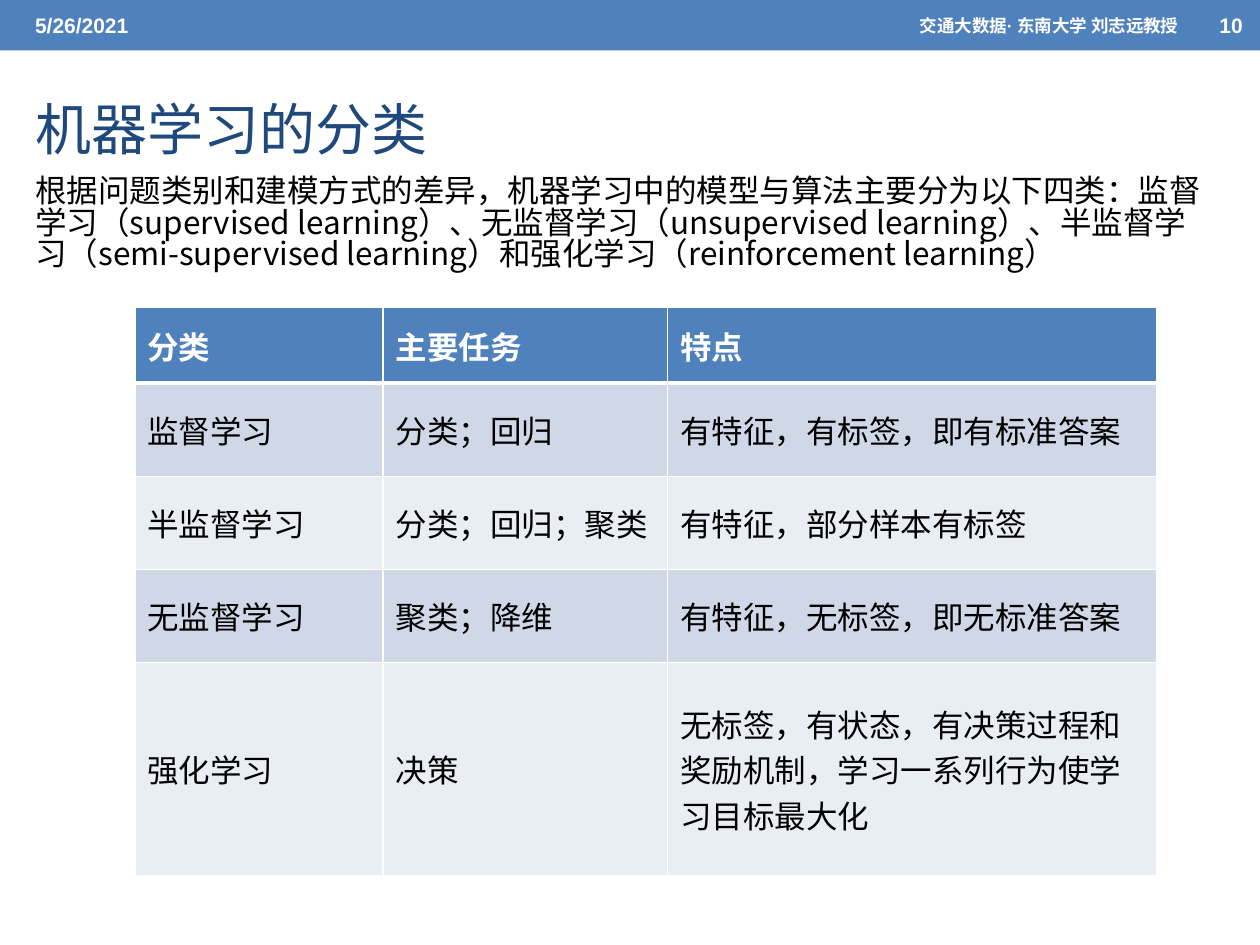
from dataclasses import dataclass

from lxml import etree
from pptx import Presentation
from pptx.dml.color import RGBColor
from pptx.enum.shapes import MSO_SHAPE
from pptx.enum.text import MSO_ANCHOR, MSO_AUTO_SIZE, PP_ALIGN
from pptx.oxml.ns import qn
from pptx.util import Inches, Pt

RECTANGLE = MSO_SHAPE.RECTANGLE
MIDDLE, TOP = MSO_ANCHOR.MIDDLE, MSO_ANCHOR.TOP
LEFT, RIGHT = PP_ALIGN.LEFT, PP_ALIGN.RIGHT
NO_AUTOFIT = MSO_AUTO_SIZE.NONE

BLUE = RGBColor(0x4F, 0x81, 0xBD)
NAVY = RGBColor(0x1F, 0x49, 0x7D)
DARK_BAND = RGBColor(0xD0, 0xD8, 0xE8)
LIGHT_BAND = RGBColor(0xE9, 0xED, 0xF4)
WHITE = RGBColor(0xFF, 0xFF, 0xFF)
BLACK = RGBColor(0x00, 0x00, 0x00)

LATIN_FONT = "Arial"
CHINESE_FONT = "Noto Sans CJK SC"

TITLE = "机器学习的分类"
INTRODUCTION = (
    "根据问题类别和建模方式的差异，机器学习中的模型与算法主要分为以下四类：监督 学习"
    "（supervised learning）、无监督学习（unsupervised learning）、"
    "半监督学习（semi-supervised learning）和强化学习（reinforcement learning）"
)
COLUMN_WIDTHS = (1.97, 2.26, 3.88)
ROW_HEIGHTS = (0.6, 0.74, 0.74, 0.74, 1.69)


@dataclass(frozen=True)
class TextStyle:
    size: float
    color: RGBColor
    font: str = CHINESE_FONT
    bold: bool = False
    alignment: PP_ALIGN = LEFT


@dataclass(frozen=True)
class BannerLabel:
    text: str
    left: float
    width: float
    size: float
    alignment: PP_ALIGN = LEFT


@dataclass(frozen=True)
class Category:
    name: str
    tasks: str
    features: str


BANNER_LABELS = (
    BannerLabel("5/26/2021", 0.18, 3.17, 12),
    BannerLabel("10", 9.58, 0.42, 12),
    BannerLabel("交通大数据· 东南大学 刘志远教授", 4.17, 5.28, 10, RIGHT),
)
CATEGORIES = (
    Category("分类", "主要任务", "特点"),
    Category("监督学习", "分类；回归", "有特征，有标签，即有标准答案"),
    Category("半监督学习", "分类；回归；聚类", "有特征，部分样本有标签"),
    Category("无监督学习", "聚类；降维", "有特征，无标签，即无标准答案"),
    Category("强化学习", "决策", "无标签，有状态，有决策过程和奖励机制，学习一系列行为使学习目标最大化"),
)


def write_text(text_frame, text: str, style: TextStyle):
    text_frame.text = text
    paragraph = text_frame.paragraphs[0]
    paragraph.alignment = style.alignment
    for run in paragraph.runs:
        run.font.size = Pt(style.size)
        run.font.bold = style.bold
        run.font.name = style.font
        run.font.color.rgb = style.color
        east_asian = etree.SubElement(run.font._element, qn("a:ea"))
        east_asian.set("typeface", CHINESE_FONT)
    return paragraph


def place(shape, left: float, top: float, width: float, height: float) -> None:
    shape.left, shape.top = Inches(left), Inches(top)
    shape.width, shape.height = Inches(width), Inches(height)


def draw_banner(slide) -> None:
    banner = slide.shapes.add_shape(RECTANGLE, 0, 0, Inches(10), Inches(0.4))
    banner.shadow.inherit = False
    banner.fill.solid()
    banner.fill.fore_color.rgb = BLUE
    banner.line.fill.background()
    for label in BANNER_LABELS:
        box = slide.shapes.add_textbox(
            Inches(label.left), Inches(0.02), Inches(label.width), Inches(0.36)
        )
        box.text_frame.word_wrap = True
        box.text_frame.vertical_anchor = MIDDLE
        style = TextStyle(label.size, WHITE, LATIN_FONT, True, label.alignment)
        write_text(box.text_frame, label.text, style)


def fill_placeholders(slide) -> None:
    title, body = slide.placeholders
    place(title, 0.18, 0.48, 9, 1.08)
    title.text_frame.vertical_anchor = MIDDLE
    title.text_frame.auto_size = NO_AUTOFIT
    write_text(title.text_frame, TITLE, TextStyle(32, NAVY))

    place(body, 0.18, 1.36, 9.49, 1.01)
    body.text_frame.vertical_anchor = TOP
    body.text_frame.auto_size = NO_AUTOFIT
    paragraph = write_text(body.text_frame, INTRODUCTION, TextStyle(18, BLACK))
    paragraph.space_before = Pt(0)
    paragraph.line_spacing = 0.83
    properties = paragraph._p.get_or_add_pPr()
    properties.set("marL", "0")
    properties.set("indent", "0")
    etree.SubElement(properties, qn("a:buNone"))


def set_borders(cell, top: float, bottom: float) -> None:
    properties = cell._tc.get_or_add_tcPr()
    widths = {"a:lnL": 1, "a:lnR": 1, "a:lnT": top, "a:lnB": bottom}
    for tag, width in widths.items():
        line = etree.SubElement(properties, qn(tag), w=str(Pt(width)))
        fill = etree.SubElement(line, qn("a:solidFill"))
        etree.SubElement(fill, qn("a:srgbClr"), val=str(WHITE))


def draw_table(slide) -> None:
    table = slide.shapes.add_table(
        len(CATEGORIES), len(COLUMN_WIDTHS), Inches(1.07), Inches(2.44),
        Inches(sum(COLUMN_WIDTHS)), Inches(sum(ROW_HEIGHTS)),
    ).table
    for column, width in zip(table.columns, COLUMN_WIDTHS):
        column.width = Inches(width)
    for index, (category, height) in enumerate(zip(CATEGORIES, ROW_HEIGHTS)):
        row = table.rows[index]
        row.height = Inches(height)
        is_header = index == 0
        band = DARK_BAND if index % 2 else LIGHT_BAND
        style = TextStyle(18, WHITE if is_header else BLACK, bold=is_header)
        texts = (category.name, category.tasks, category.features)
        for cell, text in zip(row.cells, texts):
            set_borders(cell, 3 if index == 1 else 1, 3 if is_header else 1)
            cell.fill.solid()
            cell.fill.fore_color.rgb = BLUE if is_header else band
            cell.vertical_anchor = MIDDLE
            write_text(cell.text_frame, text, style)


def main() -> None:
    presentation = Presentation()
    presentation.slide_width = Inches(10)
    presentation.slide_height = Inches(7.5)
    slide = presentation.slides.add_slide(presentation.slide_layouts[1])
    draw_banner(slide)
    fill_placeholders(slide)
    draw_table(slide)
    presentation.save("out.pptx")


if __name__ == "__main__":
    main()
